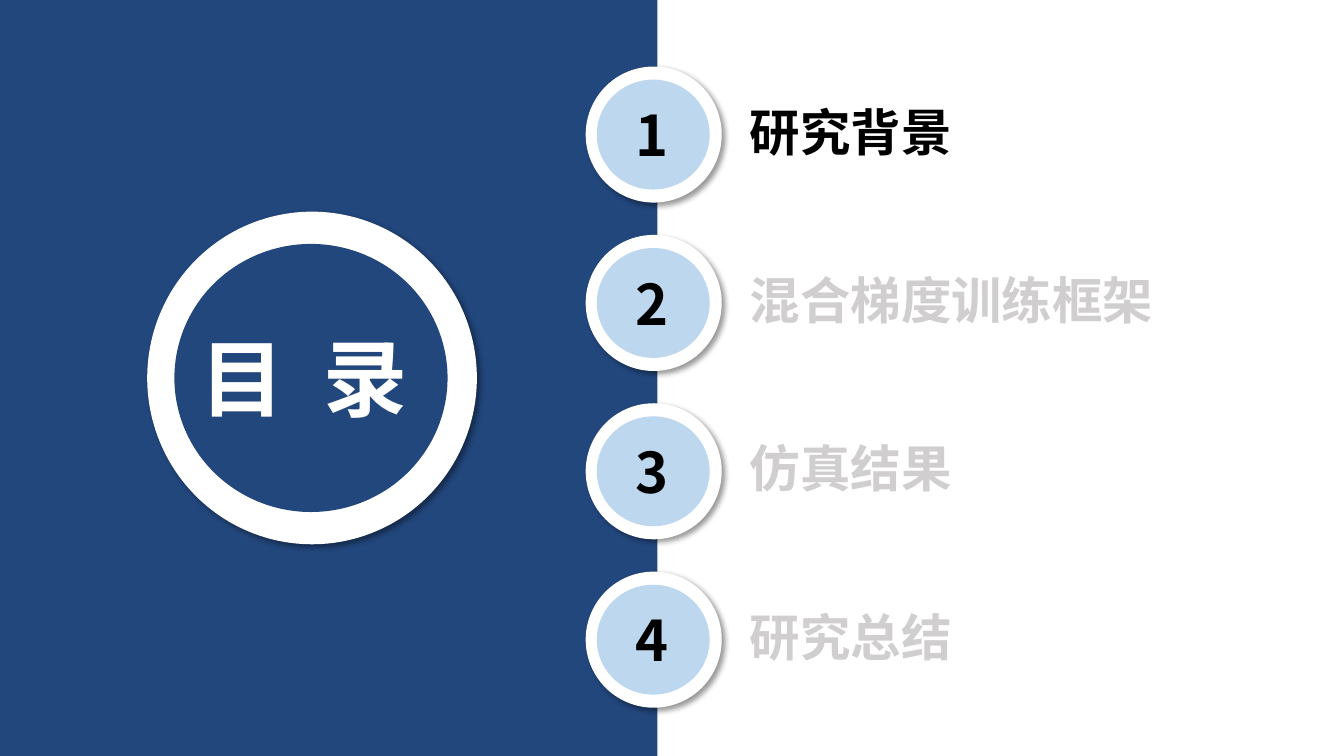
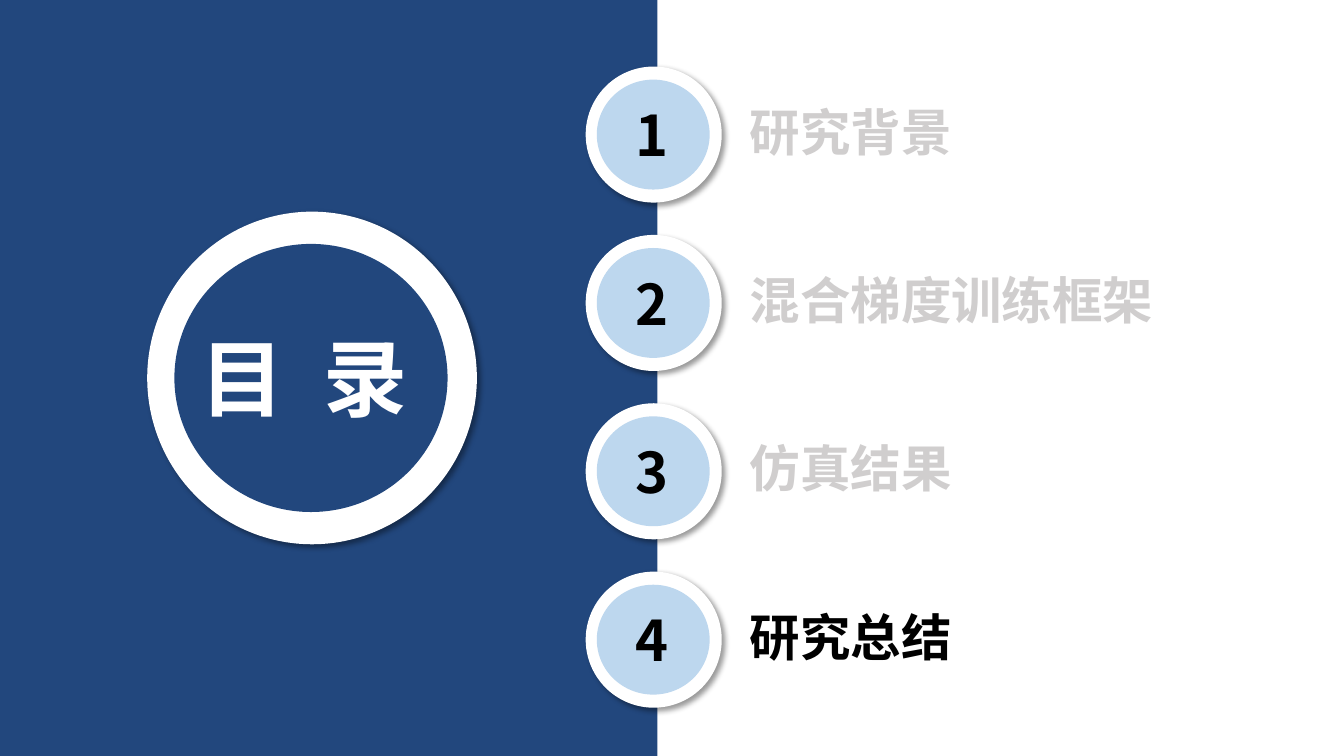
from dataclasses import dataclass

from lxml.etree import SubElement
from pptx import Presentation
from pptx.dml.color import RGBColor
from pptx.enum.shapes import MSO_SHAPE as Preset
from pptx.enum.text import MSO_ANCHOR as Anchor
from pptx.enum.text import MSO_AUTO_SIZE as AutoSize
from pptx.enum.text import PP_ALIGN as Align
from pptx.oxml.ns import qn
from pptx.util import Inches, Pt


@dataclass(frozen=True)
class Theme:
    font: str = "Noto Sans CJK SC"
    navy: str = "22477D"
    sky: str = "BDD7EE"
    white: str = "FFFFFF"
    black: str = "000000"
    muted: str = "D0CECE"
    title_size: int = 60
    number_size: int = 40
    label_size: int = 36
    title_spacing: int = 7


@dataclass(frozen=True)
class Box:
    left: float
    top: float
    width: float
    height: float

    def percent(self, left, top, width, height):
        return Box(
            self.left + self.width * left / 100,
            self.top + self.height * top / 100,
            self.width * width / 100,
            self.height * height / 100,
        )

    def emu(self):
        return [Inches(side) for side in (self.left, self.top, self.width, self.height)]


THEME = Theme()
SLIDE = Box(0, 0, 13.33, 7.5)
PANEL = SLIDE.percent(0, 0, 48.91, 100)
RING = PANEL.percent(22.39, 28, 50.15, 44)
FIRST_ROW = SLIDE.percent(43.58, 8.8, 44.1, 18)
ROW_PITCH = 22.27 / 18 * 100
TOPICS = ["研究背景", "混合梯度训练框架", "仿真结果", "研究总结"]
ACTIVE_TOPICS = [0, 3]


def write_text(shape, text, *, size, color, spacing=0):
    frame = shape.text_frame
    frame.word_wrap = True
    frame.auto_size = AutoSize.NONE
    frame.vertical_anchor = Anchor.TOP
    para = frame.paragraphs[0]
    para.alignment = Align.LEFT
    span = para.add_run()
    span.text = text
    span.font.name = THEME.font
    span.font.size = Pt(size)
    span.font.bold = True
    span.font.color.rgb = RGBColor.from_string(color)
    properties = span._r.get_or_add_rPr()
    SubElement(properties, qn("a:ea"), typeface=THEME.font)
    if spacing:
        properties.set("spc", str(spacing * 100))


def add_text(page, box, text, **style):
    write_text(page.shapes.add_textbox(*box.emu()), text, **style)


def add_filled(page, preset, box, color):
    shape = page.shapes.add_shape(preset, *box.emu())
    shape.shadow.inherit = False
    shape.fill.solid()
    shape.fill.fore_color.rgb = RGBColor.from_string(color)
    shape.line.fill.background()
    return shape


def cast_shadow(shape):
    effects = shape.element.spPr.find(qn("a:effectLst"))
    shadow = SubElement(
        effects, qn("a:outerShdw"), blurRad=str(Pt(4)), dist=str(Pt(3)),
        dir=str(45 * 60000), algn="tl", rotWithShape="0",
    )
    color = SubElement(shadow, qn("a:srgbClr"), val=THEME.black)
    SubElement(color, qn("a:alpha"), val="40000")


def add_disc(page, box, core, color):
    cast_shadow(add_filled(page, Preset.OVAL, box, THEME.white))
    add_filled(page, Preset.OVAL, core, color)


def add_title_ring(page, box):
    add_disc(page, box, box.percent(8.26, 9.7, 82.87, 80.6), THEME.navy)
    title = page.shapes.title
    title.left, title.top, title.width, title.height = box.percent(13.15, 33.03, 78, 33.64).emu()
    write_text(title, "目 录", size=THEME.title_size, color=THEME.white,
               spacing=THEME.title_spacing)
    page.shapes.element.append(title.element)


def add_topic_row(page, box, number, topic, active):
    disc = box.percent(0, 0, 22.96, 100)
    add_disc(page, disc, disc.percent(8.15, 9.63, 82.96, 80.74), THEME.sky)
    add_text(page, disc.percent(29.63, 21.48, 40.74, 57.04), str(number),
             size=THEME.number_size, color=THEME.black)
    add_text(page, box.percent(26.02, 21.48, 73.98, 52.6), topic,
             size=THEME.label_size, color=THEME.black if active else THEME.muted)


def add_contents_page(deck, active_topic):
    page = deck.slides.add_slide(deck.slide_layouts[5])
    add_filled(page, Preset.RECTANGLE, PANEL, THEME.navy)
    add_title_ring(page, RING)
    for index, topic in enumerate(TOPICS):
        row = FIRST_ROW.percent(0, index * ROW_PITCH, 100, 100)
        add_topic_row(page, row, index + 1, topic, index == active_topic)


def main():
    deck = Presentation()
    deck.slide_width = Inches(SLIDE.width)
    deck.slide_height = Inches(SLIDE.height)
    for active_topic in ACTIVE_TOPICS:
        add_contents_page(deck, active_topic)
    deck.save("out.pptx")


if __name__ == "__main__":
    main()
